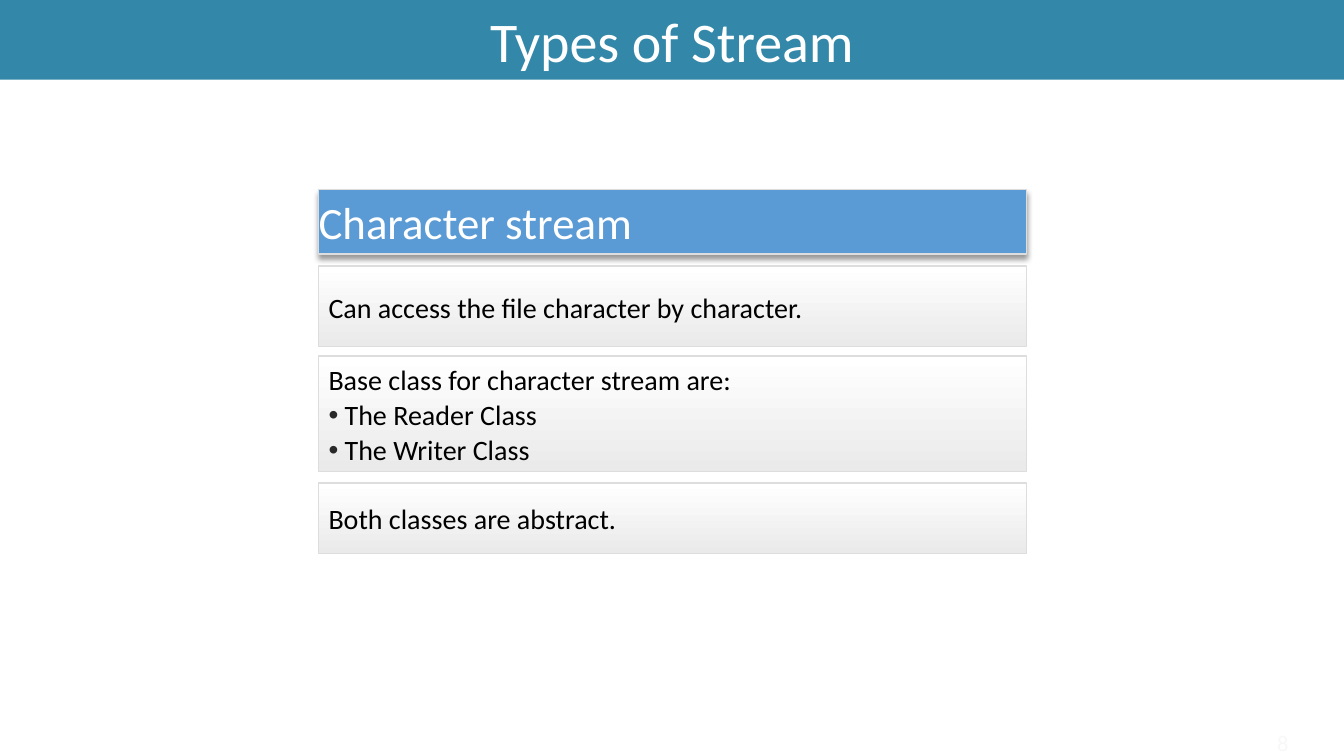
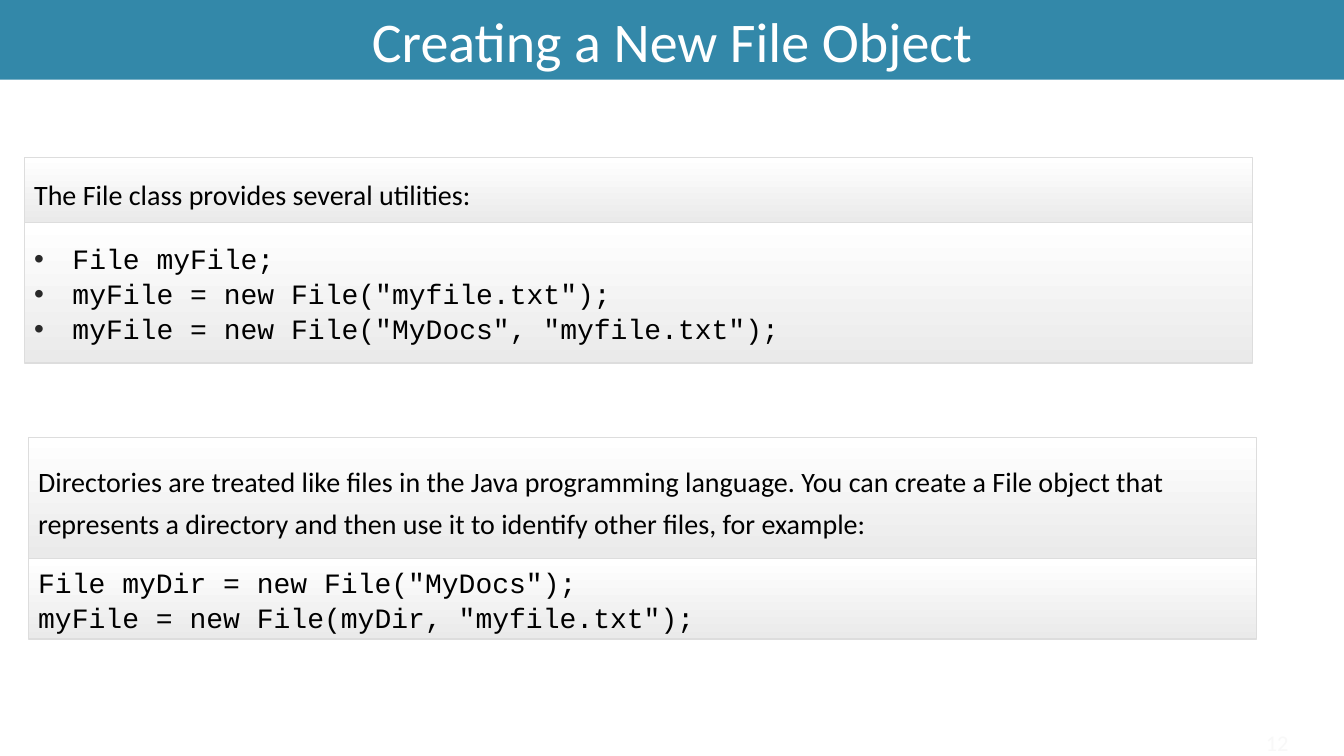
"""Build two slides on Java streams and file objects."""

from dataclasses import dataclass

from lxml import etree
from pptx import Presentation
from pptx.dml.color import RGBColor
from pptx.enum.shapes import MSO_SHAPE
from pptx.enum.text import MSO_ANCHOR, PP_ALIGN
from pptx.oxml.ns import qn
from pptx.shapes.autoshape import Shape
from pptx.slide import Slide
from pptx.text.text import _Paragraph
from pptx.util import Inches, Pt

RECTANGLE = MSO_SHAPE.RECTANGLE
MIDDLE = MSO_ANCHOR.MIDDLE
LEFT, CENTER, RIGHT = PP_ALIGN.LEFT, PP_ALIGN.CENTER, PP_ALIGN.RIGHT

COLORS = {
    "band": "3388A9",
    "heading": "5B9BD5",
    "card_top": "FFFFFF",
    "card_bottom": "EAEAEA",
    "border": "DDDDDD",
    "bullet": "292929",
    "text": "000000",
    "light_text": "FFFFFF",
    "page_number": "F8F8F8",
    "shadow": "000000",
}
BODY_FONT = "Calibri"
CODE_FONT = "Courier New"
SLIDE_WIDTH, SLIDE_HEIGHT = 13.33, 7.5
BAND_HEIGHT = 0.79
CARD_INSET = 0.1
STREAM_LEFT, STREAM_WIDTH = 3.16, 7.02
FILE_WIDTH = 12.18


@dataclass(frozen=True)
class Box:
    """Place and size of a shape in inches."""

    left: float
    top: float
    width: float
    height: float


@dataclass(frozen=True)
class Line:
    """One paragraph of a card, bulleted when it has an indent."""

    text: str
    indent: float = 0


@dataclass(frozen=True)
class Card:
    """A bordered gradient panel with its paragraphs."""

    box: Box
    lines: tuple[Line, ...]
    font: str = BODY_FONT
    spacing: int = 25


@dataclass(frozen=True)
class Page:
    """The content of one slide."""

    title: str
    number: int
    cards: tuple[Card, ...]
    heading: str = ""


HEADING_BOX = Box(STREAM_LEFT, 1.88, STREAM_WIDTH, 0.64)

PAGES = (
    Page(
        "Types of Stream",
        8,
        (
            Card(
                Box(STREAM_LEFT, 2.64, STREAM_WIDTH, 0.8),
                (Line("Can access the file character by character."),),
            ),
            Card(
                Box(STREAM_LEFT, 3.53, STREAM_WIDTH, 1.15),
                (
                    Line("Base class for character stream are:"),
                    Line("The Reader Class", 0.16),
                    Line("The Writer Class", 0.16),
                ),
            ),
            Card(
                Box(STREAM_LEFT, 4.79, STREAM_WIDTH, 0.7),
                (Line("Both classes are abstract."),),
            ),
        ),
        "Character stream",
    ),
    Page(
        "Creating a New File Object",
        12,
        (
            Card(
                Box(0.24, 1.56, FILE_WIDTH, 0.65),
                (Line("The File class provides several utilities:"),),
                spacing=30,
            ),
            Card(
                Box(0.24, 2.21, FILE_WIDTH, 1.39),
                (
                    Line("File myFile;", 0.38),
                    Line('myFile = new File("myfile.txt");', 0.38),
                    Line('myFile = new File("MyDocs", "myfile.txt");', 0.38),
                ),
                CODE_FONT,
            ),
            Card(
                Box(0.28, 4.34, FILE_WIDTH, 1.2),
                (
                    Line(
                        "Directories are treated like files in the Java programming "
                        "language. You can create a File object that represents a "
                        "directory and then use it to identify other files, for example:"
                    ),
                ),
                spacing=30,
            ),
            Card(
                Box(0.28, 5.54, FILE_WIDTH, 0.8),
                (
                    Line('File myDir = new File("MyDocs");'),
                    Line('myFile = new File(myDir, "myfile.txt");'),
                ),
                CODE_FONT,
            ),
        ),
    ),
)


def color(name: str) -> RGBColor:
    """Return a named colour."""
    return RGBColor.from_string(COLORS[name])


def set_frame(shape: Shape, inset: float) -> None:
    """Wrap and centre the text vertically inside equal insets."""
    frame = shape.text_frame
    frame.word_wrap = True
    frame.vertical_anchor = MIDDLE
    frame.margin_left = frame.margin_right = Inches(inset)
    frame.margin_top = frame.margin_bottom = Inches(inset)


def add_rectangle(slide: Slide, box: Box, inset: float, border: bool) -> Shape:
    """Add a shadowless rectangle."""
    shape = slide.shapes.add_shape(
        RECTANGLE, Inches(box.left), Inches(box.top), Inches(box.width), Inches(box.height)
    )
    shape.shadow.inherit = False
    if border:
        shape.line.color.rgb = color("border")
        shape.line.width = Pt(1)
    else:
        shape.line.fill.background()
    set_frame(shape, inset)
    return shape


def add_text(
    paragraph: _Paragraph,
    text: str,
    size: int,
    color_name: str,
    font: str = BODY_FONT,
    alignment: PP_ALIGN = LEFT,
) -> None:
    """Add one styled run to a paragraph."""
    paragraph.alignment = alignment
    run = paragraph.add_run()
    run.text = text
    run.font.name = font
    run.font.size = Pt(size)
    run.font.color.rgb = color(color_name)


def add_bullet(paragraph: _Paragraph, indent: float) -> None:
    """Give a paragraph a hanging round bullet."""
    properties = paragraph._p.get_or_add_pPr()
    properties.set("marL", str(Inches(indent)))
    properties.set("indent", str(-Inches(indent)))
    bullet_color = etree.SubElement(properties, qn("a:buClr"))
    etree.SubElement(bullet_color, qn("a:srgbClr"), val=COLORS["bullet"])
    etree.SubElement(properties, qn("a:buFont"), typeface="Arial")
    etree.SubElement(properties, qn("a:buChar"), char="•")


def add_shadow(shape: Shape) -> None:
    """Cast a soft shadow below a shape."""
    effects = shape._element.spPr.find(qn("a:effectLst"))
    shadow = etree.SubElement(
        effects,
        qn("a:outerShdw"),
        blurRad=str(Pt(4)),
        dist=str(Pt(3)),
        dir="5400000",
        rotWithShape="0",
    )
    shadow_color = etree.SubElement(shadow, qn("a:srgbClr"), val=COLORS["shadow"])
    etree.SubElement(shadow_color, qn("a:alpha"), val="40000")


def add_title_band(slide: Slide, title: str) -> None:
    """Draw the title band across the top."""
    band = add_rectangle(slide, Box(0, 0, SLIDE_WIDTH, BAND_HEIGHT), 0.05, False)
    band.fill.solid()
    band.fill.fore_color.rgb = color("band")
    add_text(band.text_frame.paragraphs[0], title, 40, "light_text", alignment=CENTER)


def add_page_number(slide: Slide, number: int) -> None:
    """Write the faint page number at the bottom right."""
    box = slide.shapes.add_textbox(Inches(11.78), Inches(7.24), Inches(1), Inches(0.26))
    set_frame(box, 0)
    add_text(box.text_frame.paragraphs[0], str(number), 16, "page_number", alignment=RIGHT)


def add_heading(slide: Slide, text: str) -> None:
    """Draw the blue heading above the cards."""
    heading = add_rectangle(slide, HEADING_BOX, 0, True)
    heading.fill.solid()
    heading.fill.fore_color.rgb = color("heading")
    add_shadow(heading)
    add_text(heading.text_frame.paragraphs[0], text, 32, "light_text")


def add_card(slide: Slide, card: Card) -> None:
    """Draw a gradient card and its paragraphs."""
    shape = add_rectangle(slide, card.box, CARD_INSET, True)
    shape.fill.gradient()
    shape.fill.gradient_angle = 270
    for stop, name in zip(shape.fill.gradient_stops, ("card_top", "card_bottom")):
        stop.color.rgb = color(name)
    frame = shape.text_frame
    for index, line in enumerate(card.lines):
        paragraph = frame.add_paragraph() if index else frame.paragraphs[0]
        paragraph.line_spacing = Pt(card.spacing)
        if line.indent:
            add_bullet(paragraph, line.indent)
        add_text(paragraph, line.text, 20, "text", card.font)


def add_page(presentation: Presentation, page: Page) -> None:
    """Add one slide with its band, cards and number."""
    slide = presentation.slides.add_slide(presentation.slide_layouts[6])
    add_title_band(slide, page.title)
    for card in page.cards:
        add_card(slide, card)
    if page.heading:
        add_heading(slide, page.heading)
    add_page_number(slide, page.number)


def main() -> None:
    """Build and save the presentation."""
    presentation = Presentation()
    presentation.slide_width = Inches(SLIDE_WIDTH)
    presentation.slide_height = Inches(SLIDE_HEIGHT)
    for page in PAGES:
        add_page(presentation, page)
    presentation.save("out.pptx")


if __name__ == "__main__":
    main()
